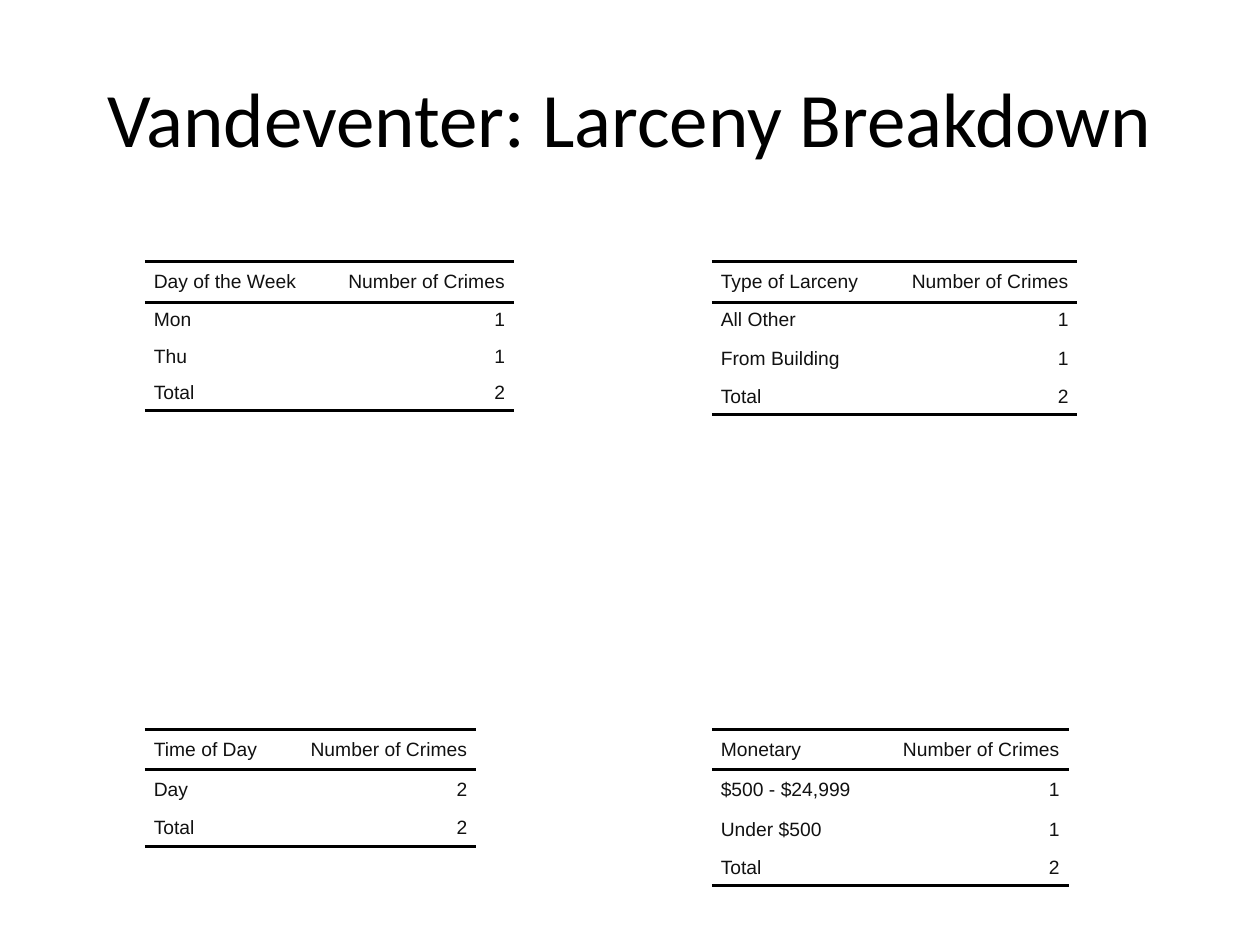
from dataclasses import dataclass

from lxml.etree import SubElement
from pptx import Presentation
from pptx.dml.color import RGBColor
from pptx.enum.text import MSO_ANCHOR, PP_ALIGN
from pptx.oxml.ns import qn
from pptx.util import Cm, Pt


@dataclass(frozen=True)
class Theme:
    """Hold the colours, fonts and sizes of the slide."""
    black: str = "000000"
    ink: str = "111111"
    head: str = "Calibri"
    body: str = "Arial"
    big: int = 44
    small: int = 11
    rule: int = 2
    pad: float = 0.18


class Deck:
    """Draw styled elements on the current slide."""

    def __init__(self, theme):
        """Start a deck with one blank slide."""
        self.theme = theme
        self.prs = Presentation()
        self.prs.slide_width, self.prs.slide_height = Cm(25.4), Cm(19.05)
        self.slide = self.prs.slides.add_slide(self.prs.slide_layouts[6])

    def label(self, para, text, font, size, color, align):
        """Add one styled run to a paragraph."""
        para.alignment = align
        run = para.add_run()
        run.text = text
        run.font.name, run.font.size = font, Pt(size)
        run.font.color.rgb = RGBColor.from_string(color)

    def title(self, text, left, top, width, height):
        """Add the centred slide title."""
        box = self.slide.shapes.add_textbox(Cm(left), Cm(top), Cm(width), Cm(height))
        frame = box.text_frame
        frame.word_wrap = True
        frame.vertical_anchor = MSO_ANCHOR.MIDDLE
        look = self.theme
        self.label(frame.paragraphs[0], text, look.head, look.big, look.black, PP_ALIGN.CENTER)

    def border(self, cell, sides):
        """Rule the named sides of a cell and clear the others."""
        props = cell._tc.get_or_add_tcPr()
        for side in "LRTB":
            line = SubElement(props, qn(f"a:ln{side}"))
            if side in sides:
                line.set("w", str(Pt(self.theme.rule)))
                fill = SubElement(line, qn("a:solidFill"))
                SubElement(fill, qn("a:srgbClr")).set("val", self.theme.black)
            else:
                SubElement(line, qn("a:noFill"))

    def cell(self, cell, text, align, sides):
        """Fill one table cell."""
        cell.margin_left = cell.margin_right = cell.margin_top = cell.margin_bottom = 0
        cell.vertical_anchor = MSO_ANCHOR.MIDDLE
        self.border(cell, sides)
        cell.fill.background()
        look, para = self.theme, cell.text_frame.paragraphs[0]
        self.label(para, text, look.body, look.small, look.ink, align)
        for edge in ("marL", "marR"):
            para._p.get_or_add_pPr().set(edge, str(Cm(look.pad)))

    def table(self, left, top, widths, heights, rows):
        """Add a table ruled around its header and under its last row."""
        frame = self.slide.shapes.add_table(
            len(rows), len(widths), Cm(left), Cm(top), Cm(sum(widths)), Cm(sum(heights)))
        table = frame.table
        table.first_row = table.horz_banding = False
        for col, width in zip(table.columns, widths):
            col.width = Cm(width)
        last = len(rows) - 1
        for i, (row, height) in enumerate(zip(rows, heights)):
            table.rows[i].height = Cm(height)
            sides = ("T" if i < 2 else "") + ("B" if i in (0, last) else "")
            for j, (text, align) in enumerate(zip(row, (PP_ALIGN.LEFT, PP_ALIGN.RIGHT))):
                self.cell(table.cell(i, j), text, align, sides)


def main():
    """Build and save the slide."""
    deck = Deck(Theme())
    deck.title("Vandeventer: Larceny Breakdown", 1.27, 0.76, 22.86, 3.18)
    west, east, north, south = 2.92, 14.35, 5.28, 14.71
    tall, mid, low, count = 0.81, 0.79, 0.73, 3.86
    tables = [
        (west, north, 3.58, (tall, low, low, low), "Day of the Week",
         [("Mon", "1"), ("Thu", "1"), ("Total", "2")]),
        (west, south, 2.82, (tall, tall, low), "Time of Day",
         [("Day", "2"), ("Total", "2")]),
        (east, north, 3.51, (tall, low, tall, low), "Type of Larceny",
         [("All Other", "1"), ("From Building", "1"), ("Total", "2")]),
        (east, south, 3.33, (tall, tall, mid, low), "Monetary",
         [("$500 - $24,999", "1"), ("Under $500", "1"), ("Total", "2")]),
    ]
    for left, top, width, heights, name, rows in tables:
        deck.table(left, top, (width, count), heights, [(name, "Number of Crimes"), *rows])
    deck.prs.save("out.pptx")


if __name__ == "__main__":
    main()
